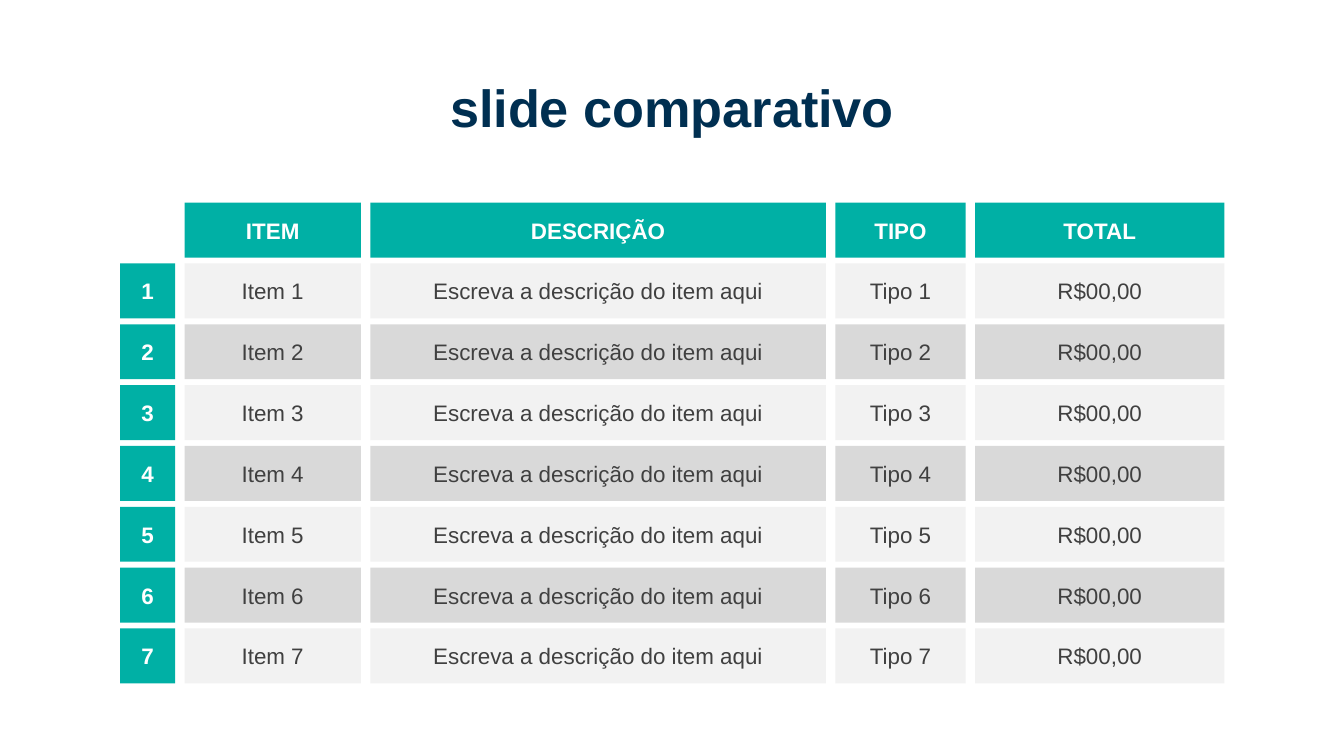
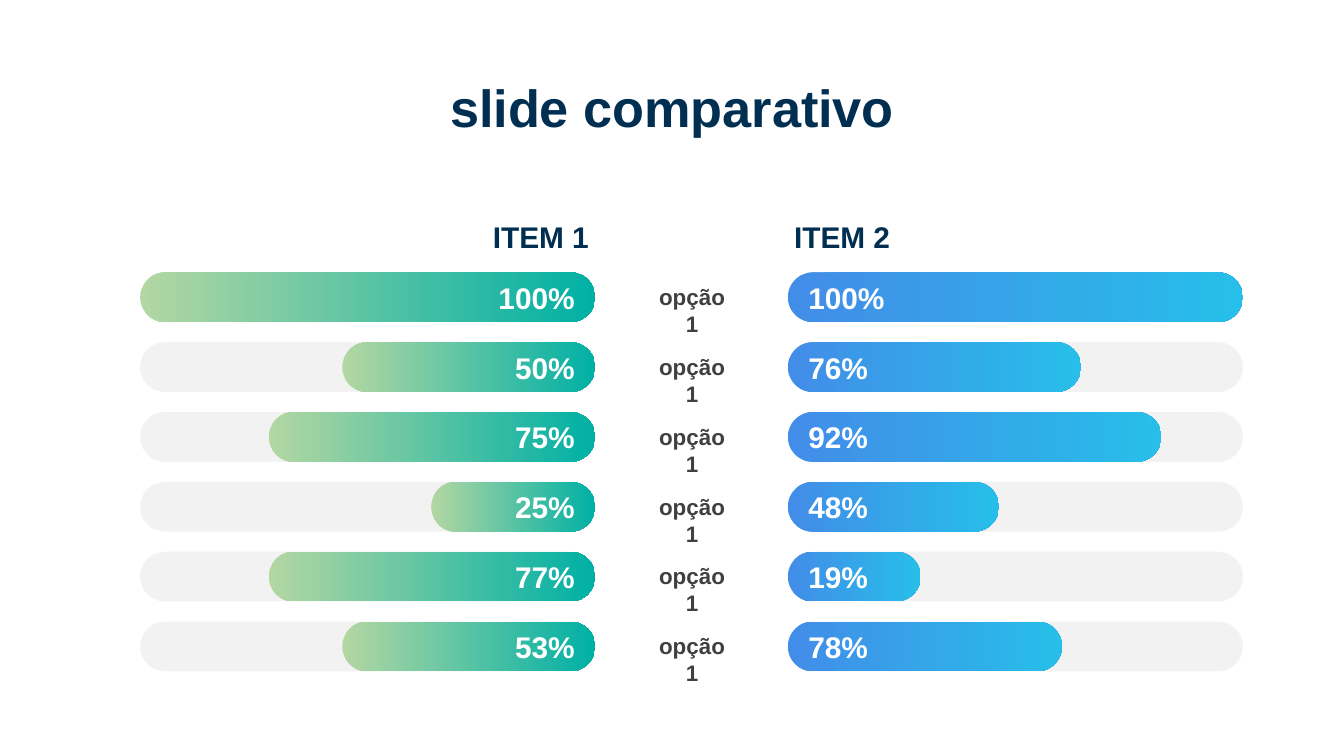
from pptx import Presentation
from pptx.dml.color import RGBColor
from pptx.enum.shapes import MSO_SHAPE
from pptx.enum.text import MSO_ANCHOR, MSO_AUTO_SIZE, PP_ALIGN
from pptx.util import Cm, Pt

RECT, PILL = MSO_SHAPE.RECTANGLE, MSO_SHAPE.ROUNDED_RECTANGLE
LEFT, CENTER, RIGHT = PP_ALIGN.LEFT, PP_ALIGN.CENTER, PP_ALIGN.RIGHT
TOP, MIDDLE = MSO_ANCHOR.TOP, MSO_ANCHOR.MIDDLE
NO_FIT, GROW = MSO_AUTO_SIZE.NONE, MSO_AUTO_SIZE.SHAPE_TO_FIT_TEXT

FONT = "Arial"
NAVY, TEAL, WHITE, INK = "002F51", "00B0A5", "FFFFFF", "404040"
PALE, GREY = "F2F2F2", "D9D9D9"
GREEN_FADE = ("B3D7A2", TEAL)
BLUE_FADE = ("428DE8", "27BEE9")
TITLE_ONLY = 5


def rgb(code):
    """Turn a hex string into a colour."""
    return RGBColor.from_string(code)


def write(frame, text, size=12, color=INK, bold=False, align=CENTER,
          anchor=MIDDLE, fit=NO_FIT, spacing=None):
    """Put one formatted paragraph into a text frame."""
    frame.auto_size = fit
    frame.word_wrap = True
    frame.vertical_anchor = anchor
    paragraph = frame.paragraphs[0]
    paragraph.alignment = align
    paragraph.line_spacing = spacing
    run = paragraph.add_run()
    run.text = text
    run.font.name = FONT
    run.font.size = Pt(size)
    run.font.bold = bold
    run.font.color.rgb = rgb(color)


class Deck:
    """Hold the presentation, its shared style and the current slide."""

    def __init__(self):
        """Start an empty widescreen presentation."""
        self.prs = Presentation()
        self.prs.slide_width, self.prs.slide_height = Cm(25.4), Cm(14.29)
        self.slide = None

    def new_slide(self, title):
        """Add a slide with the shared title style."""
        layout = self.prs.slide_layouts[TITLE_ONLY]
        self.slide = self.prs.slides.add_slide(layout)
        heading = self.slide.shapes.title
        heading.left, heading.top = Cm(1.75), Cm(1.5)
        heading.width, heading.height = Cm(21.9), Cm(1.19)
        write(heading.text_frame, title, size=28, color=NAVY, bold=True,
              spacing=0.9)

    def block(self, kind, left, top, width, height):
        """Add a plain outline-free shape."""
        shape = self.slide.shapes.add_shape(
            kind, Cm(left), Cm(top), Cm(width), Cm(height))
        shape.shadow.inherit = False
        shape.line.fill.background()
        return shape

    def cell(self, left, top, width, height, fill, text, **style):
        """Add a filled rectangle with centred text."""
        cell = self.block(RECT, left, top, width, height)
        cell.fill.solid()
        cell.fill.fore_color.rgb = rgb(fill)
        write(cell.text_frame, text, **style)

    def track(self, left, top, width, height):
        """Add the pale rail behind a bar."""
        rail = self.block(PILL, left, top, width, height)
        rail.adjustments[0] = 0.5
        rail.fill.solid()
        rail.fill.fore_color.rgb = rgb(PALE)

    def bar(self, left, top, width, height, fade, text, align):
        """Add a rounded bar with a left-to-right gradient."""
        bar = self.block(PILL, left, top, width, height)
        bar.adjustments[0] = 0.5
        bar.fill.gradient()
        bar.fill.gradient_angle = 0
        for stop, position, color in zip(bar.fill.gradient_stops, (0, 1), fade):
            stop.position = position
            stop.color.rgb = rgb(color)
        write(bar.text_frame, text, size=16, color=WHITE, bold=True, align=align)

    def label(self, left, top, width, height, text, **style):
        """Add a bold free-standing text."""
        box = self.slide.shapes.add_textbox(
            Cm(left), Cm(top), Cm(width), Cm(height))
        write(box.text_frame, text, bold=True, anchor=TOP, fit=GROW, **style)


def build_price_grid(deck):
    """Draw the numbered grid of items."""
    deck.new_slide("slide comparativo")
    widths, gap, height = (1.04, 3.33, 8.61, 2.46, 4.71), 0.18, 1.04
    top, pitch = 3.83, 1.15
    lefts = [2.27 + sum(widths[:i]) + gap * i for i in range(len(widths))]
    columns = list(zip(lefts, widths))
    accent = {"color": WHITE, "bold": True}

    headers = ("ITEM", "DESCRIÇÃO", "TIPO", "TOTAL")
    for (left, width), header in zip(columns[1:], headers):
        deck.cell(left, top, width, height, TEAL, header, **accent)
    for number in range(1, 8):
        row_top = top + number * pitch
        deck.cell(lefts[0], row_top, widths[0], height, TEAL, str(number), **accent)
        band = PALE if number % 2 else GREY
        values = (f"Item {number}", "Escreva a descrição do item aqui",
                  f"Tipo {number}", "R$00,00")
        for (left, width), value in zip(columns[1:], values):
            deck.cell(left, row_top, width, height, band, value)


def build_bar_comparison(deck):
    """Draw the two facing sets of percentage bars."""
    deck.new_slide("slide comparativo")
    green_left, blue_left, full, height = 2.65, 14.89, 8.6, 0.94
    top, pitch = 5.15, 1.32
    rows = (
        ("100%", 8.6, "100%", 8.6),
        ("50%", 4.78, "76%", 5.54),
        ("75%", 6.17, "92%", 7.06),
        ("25%", 3.1, "48%", 3.99),
        ("77%", 6.17, "19%", 2.51),
        ("53%", 4.78, "78%", 5.18),
    )
    for left, item, align in ((8.78, "ITEM 1", RIGHT), (14.76, "ITEM 2", LEFT)):
        deck.label(left, 4.01, 2.6, height, item, size=16, color=NAVY,
                   align=align)
    for index, (green, green_width, blue, blue_width) in enumerate(rows):
        row_top = top + index * pitch
        if index:
            for left in (green_left, blue_left):
                deck.track(left, row_top, full, height)
        deck.bar(green_left + full - green_width, row_top, green_width, height,
                 GREEN_FADE, green, RIGHT)
        deck.bar(blue_left, row_top, blue_width, height, BLUE_FADE, blue, LEFT)
        deck.label(12.04, row_top + 0.08, 2.08, 0.76, "opção 1")


def main():
    """Build and save both slides."""
    deck = Deck()
    build_price_grid(deck)
    build_bar_comparison(deck)
    deck.prs.save("out.pptx")


if __name__ == "__main__":
    main()
